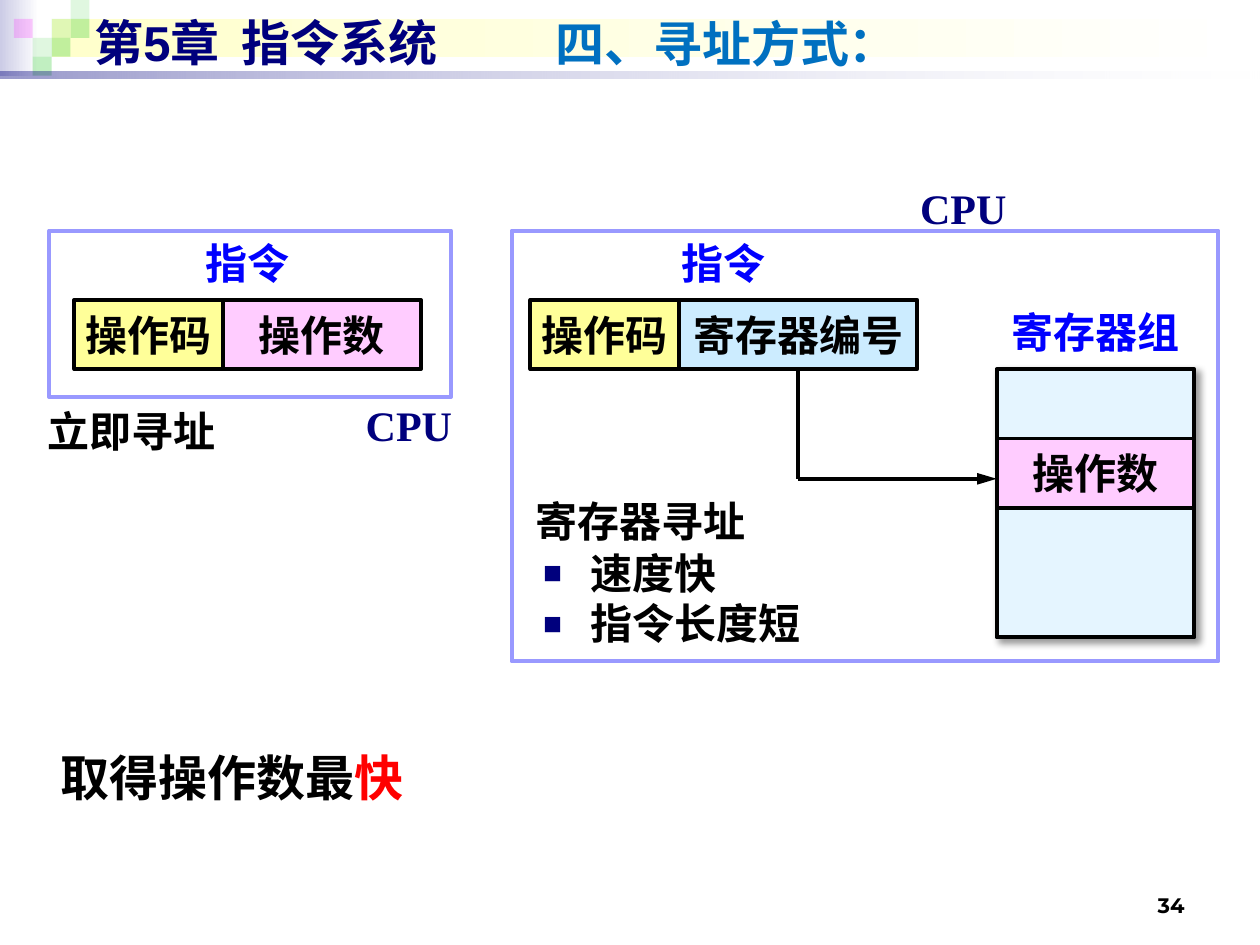
import pptx
import pptx.util
import pptx.dml.color
import pptx.enum.shapes
import pptx.enum.text
from lxml import etree

Inches, Pt = pptx.util.Inches, pptx.util.Pt
ALIGN = pptx.enum.text.PP_ALIGN
ANCHOR = pptx.enum.text.MSO_ANCHOR
NS = "http://schemas.openxmlformats.org/drawingml/2006/main"

COLORS = {
    "navy": "00007D", "blue": "0000FF", "sky": "0070C0", "red": "FF0000",
    "black": "000000", "white": "FFFFFF", "lilac": "CCCCE6", "cream": "FFFFCC",
    "green": "33CC33", "magenta": "FF00FF", "yellow": "FFFF99", "pink": "FFCCFF",
    "pale": "CCECFF", "ice": "E5F5FF", "frame": "9999FF",
}
SERIF, SANS, CJK = "Times New Roman", "Arial", "Noto Sans CJK SC"

# Content
TITLE = "第5章  指令系统"
SECTION = "四、寻址方式："
ADVANTAGES = ["速度快", "指令长度短"]
CONCLUSION = [("取得操作数最", "black"), ("快", "red")]

# Grid: one row of the diagram, the operation code column, the memory column
ROW, CODE_W, MEMORY_W = 0.55, 1.18, 1.57
TOP = 1.83
LABEL_H = 0.5
FIELD_Y, MEMORY_Y = TOP + ROW, TOP + 2 * ROW
LEFT_X, RIGHT_X, MEMORY_X = 0.59, 4.21, 7.91
REGISTER_W = 1.89
TILE = 0.15
LABEL_LEADING, HEADING_LEADING = 29, 34

# Header decoration: left, top, width, height, from, to, opacities
BANDS = [
    (0, 0, 0.31, 4 * TILE, "lilac", "white", None),
    (0.41, TILE, 9.55, 2 * TILE, "cream", "white", None),
]
RULE = (0, 0.57, 10, 0.05, "navy", "white", (40, 10))
# Mosaic: column, row, colour, opacity
TILES = [(2, 1, "green", 15), (3, 0, "green", 15), (3, 1, "green", 30),
         (1, 2, "green", 15), (0, 1, "magenta", 20), (2, 2, "green", 30),
         (1, 3, "green", 30)]

# Diagram cells: text, left, top, width, fill
CELLS = [
    ("操作码", LEFT_X, FIELD_Y, CODE_W, "yellow"),
    ("操作数", LEFT_X + CODE_W, FIELD_Y, MEMORY_W, "pink"),
    ("操作码", RIGHT_X, FIELD_Y, CODE_W, "yellow"),
    ("操作数", MEMORY_X, MEMORY_Y + ROW, MEMORY_W, "pink"),
    ("寄存器编号", RIGHT_X + CODE_W, FIELD_Y, REGISTER_W, "pale"),
]
# Labels: text, left, top, width, colour, alignment
LABELS = [
    ("指令", LEFT_X, TOP, CODE_W + MEMORY_W, "blue", ALIGN.CENTER),
    ("指令", RIGHT_X, TOP, CODE_W + REGISTER_W, "blue", ALIGN.CENTER),
    ("寄存器组", MEMORY_X, FIELD_Y, MEMORY_W, "blue", ALIGN.CENTER),
    ("立即寻址", 0.28, 3.17, 2.76, "black", ALIGN.LEFT),
    ("寄存器寻址", 3.66, 3.88, 2.84, "black", ALIGN.CENTER),
]
CPU_SPOTS = [(7.2, 1.4), (2.8, 3.12)]
FRAMES = [(4.06, TOP, 5.61, 3.42), (0.39, TOP, 3.19, 1.32)]

deck = pptx.Presentation()
deck.slide_width, deck.slide_height = Inches(10), Inches(7.5)
slide = deck.slides.add_slide(deck.slide_layouts[1])


def rgb(name):
    return pptx.dml.color.RGBColor.from_string(COLORS[name])


def child(parent, tag, **attributes):
    element = etree.SubElement(parent, f"{{{NS}}}{tag}")
    for key, value in attributes.items():
        element.set(key, str(value))
    return element


def place_in_front(shape, *box):
    shape.left, shape.top, shape.width, shape.height = map(Inches, box)
    slide.shapes._spTree.append(shape._element)


def set_opacity(shape, percents):
    swatches = shape._element.spPr.iter(f"{{{NS}}}srgbClr")
    for swatch, percent in zip(swatches, percents):
        child(swatch, "alpha", val=percent * 1000)


def style_run(run, size, color, font=SERIF):
    run.font.size, run.font.bold, run.font.name = Pt(size), True, font
    run.font.color.rgb = rgb(color)
    child(run._r.get_or_add_rPr(), "ea", typeface=CJK)


def style_frame(frame, size, color, font=SERIF, align=ALIGN.LEFT, leading=None):
    for paragraph in frame.paragraphs:
        paragraph.alignment = align
        if leading:
            paragraph.line_spacing = Pt(leading)
        for run in paragraph.runs:
            style_run(run, size, color, font)


def rectangle(box, fill=None, line=None):
    shape = slide.shapes.add_shape(pptx.enum.shapes.MSO_SHAPE.RECTANGLE, *map(Inches, box))
    shape.shadow.inherit = False
    if fill:
        shape.fill.solid()
        shape.fill.fore_color.rgb = rgb(fill)
    else:
        shape.fill.background()
    if line:
        shape.line.color.rgb, shape.line.width = rgb(line), Pt(2.25)
    else:
        shape.line.fill.background()
    return shape


def gradient_band(x, y, width, height, start, end, opacities):
    band = rectangle((x, y, width, height))
    band.fill.gradient()
    band.fill.gradient_angle = 0
    for stop, color, position in zip(band.fill.gradient_stops, (start, end), (0, 1)):
        stop.color.rgb, stop.position = rgb(color), position
    set_opacity(band, opacities or ())


def label(text, box, size, color, font=SERIF, align=ALIGN.LEFT, wrap=True, leading=None):
    frame = slide.shapes.add_textbox(*map(Inches, box)).text_frame
    frame.word_wrap = wrap
    frame.text = text
    style_frame(frame, size, color, font, align, leading)
    return frame


def wire(start, end):
    line = slide.shapes.add_connector(
        pptx.enum.shapes.MSO_CONNECTOR.STRAIGHT, *map(Inches, (*start, *end)))
    line.line.color.rgb, line.line.width = rgb("black"), Pt(2.25)
    child(line._element.spPr, "effectLst")
    return line


# Header: decoration first, then the title in front of it
for band in BANDS:
    gradient_band(*band)
for column, row, color, opacity in TILES:
    tile = rectangle((0.11 + column * TILE, row * TILE, TILE, TILE), color)
    set_opacity(tile, [opacity])
gradient_band(*RULE)

title = slide.shapes.title
place_in_front(title, 0.65, 0.05, 9, 0.57)
title.text_frame.text = TITLE
title.text_frame.vertical_anchor = ANCHOR.MIDDLE
style_frame(title.text_frame, 28, "navy", SANS)
label(SECTION, (4.31, 0.05, 2.96, 0.57), 28, "sky", CJK, wrap=False,
      leading=HEADING_LEADING)

# Register group with its soft shadow
registers = rectangle((MEMORY_X, MEMORY_Y, MEMORY_W, 2.13), "ice", "black")
shadow = child(registers._element.spPr.find(f"{{{NS}}}effectLst"), "outerShdw",
               blurRad=Pt(4), dist=Pt(3), dir=45 * 60000, algn="tl", rotWithShape=0)
child(child(shadow, "srgbClr", val=COLORS["black"]), "alpha", val=40000)

# Instruction fields and labels
for text, x, y, width, fill in CELLS:
    field = rectangle((x, y, width, ROW), fill, "black")
    field.text_frame.word_wrap = False
    field.text_frame.vertical_anchor = ANCHOR.MIDDLE
    field.text_frame.text = text
    style_frame(field.text_frame, 24, "black", align=ALIGN.CENTER)
register_number = field
for text, x, y, width, color, align in LABELS:
    label(text, (x, y, width, LABEL_H), 24, color, align=align, leading=LABEL_LEADING)

# Path from the register number to the operand
corner = (RIGHT_X + CODE_W + REGISTER_W / 2, 3.8)
wire((corner[0], MEMORY_Y), corner).begin_connect(register_number, 2)
arrow = wire(corner, (MEMORY_X, corner[1]))
child(arrow.line._get_or_add_ln(), "tailEnd", type="triangle", len="lg")

# CPU frames
for frame_box in FRAMES:
    rectangle(frame_box, line="frame")
for x, y in CPU_SPOTS:
    label("CPU", (x, y, 0.89, LABEL_H), 24, "navy", align=ALIGN.CENTER, wrap=False)

# Advantages list
advantages = slide.placeholders[1]
place_in_front(advantages, RIGHT_X, 4.29, 2.61, 0.94)
advantages.text_frame.text = "\n".join(ADVANTAGES)
advantages.text_frame.auto_size = pptx.enum.text.MSO_AUTO_SIZE.NONE
for item in advantages.text_frame.paragraphs:
    item.space_before = Pt(0)
    properties = item._p.get_or_add_pPr()
    properties.set("marL", str(Inches(0.38)))
    properties.set("indent", str(-Inches(0.38)))
    child(child(properties, "buClr"), "srgbClr", val=COLORS["navy"])
    child(properties, "buSzPct", val=75000)
    child(properties, "buFont", typeface=SANS)
    child(properties, "buChar", char="■")
style_frame(advantages.text_frame, 24, "black", leading=LABEL_LEADING)

# Conclusion and page number
conclusion = label("", (0.36, 5.88, 2.96, 0.57), 28, "black",
                   align=ALIGN.CENTER, wrap=False, leading=HEADING_LEADING)
for text, color in CONCLUSION:
    run = conclusion.paragraphs[0].add_run()
    run.text = text
    style_run(run, 28, color, CJK if color == "red" else SERIF)
page = label("34", (7.17, 6.98, 2.33, 0.35), 12, "black", "Montserrat", ALIGN.RIGHT)
page.vertical_anchor = ANCHOR.BOTTOM

deck.save("out.pptx")
